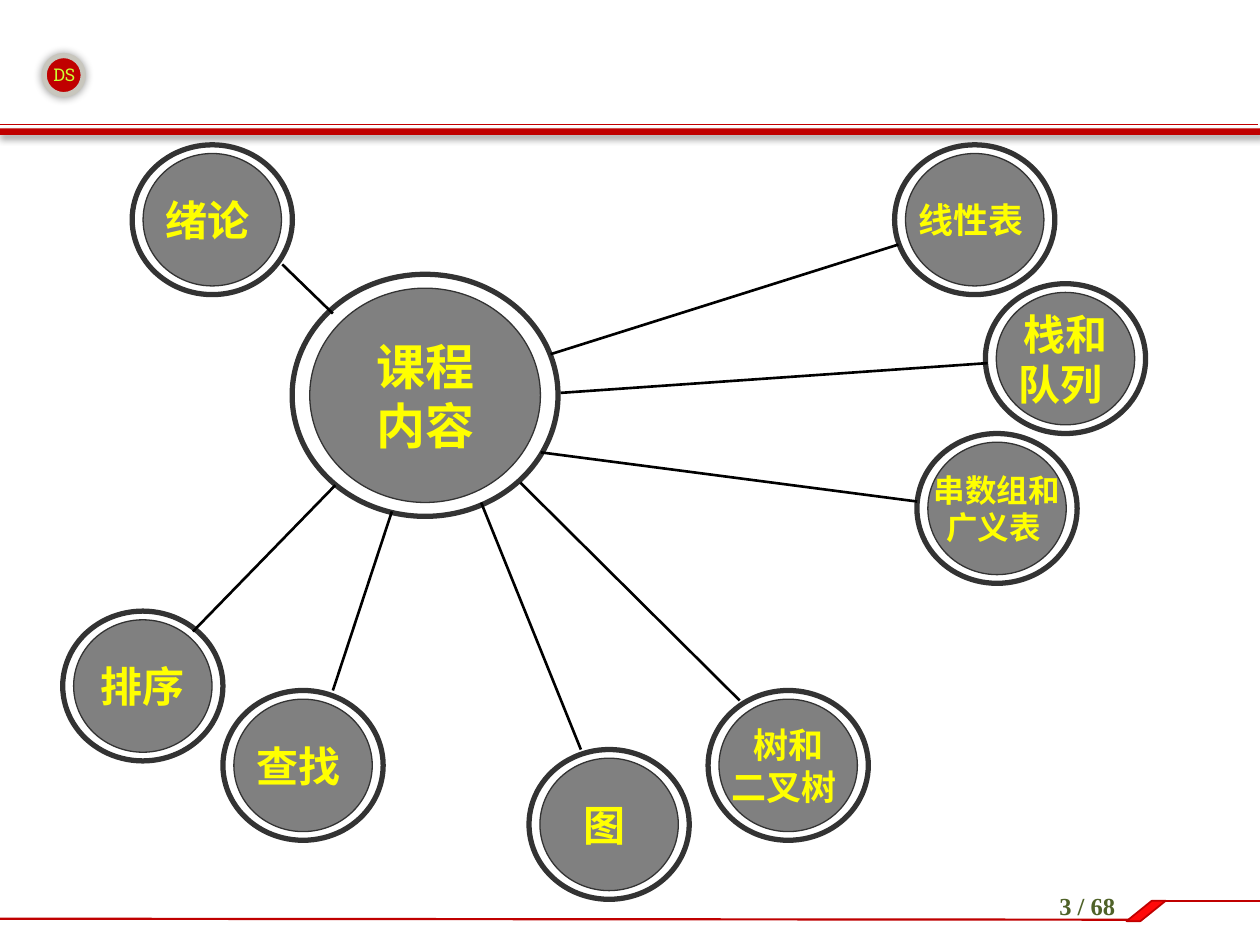
"""Build the course-content mind map slide: a hub joined to eight topics."""
from dataclasses import dataclass

from lxml import etree
from pptx import Presentation
from pptx.dml.color import RGBColor
from pptx.enum.shapes import MSO_CONNECTOR, MSO_SHAPE
from pptx.enum.text import MSO_ANCHOR, PP_ALIGN
from pptx.oxml.ns import qn
from pptx.util import Cm, Pt

OVAL, RECT, SLANT = MSO_SHAPE.OVAL, MSO_SHAPE.RECTANGLE, MSO_SHAPE.PARALLELOGRAM
STRAIGHT = MSO_CONNECTOR.STRAIGHT
CENTER, MIDDLE = PP_ALIGN.CENTER, MSO_ANCHOR.MIDDLE


@dataclass(frozen=True)
class Theme:
    """Colours, fonts and type sizes."""
    red: str = "C00000"
    bright_red: str = "FF0909"
    badge_ring: str = "C8C6BD"
    badge_text: str = "CCFF33"
    page_text: str = "4F6228"
    ring: str = "333333"
    disc: str = "808080"
    label: str = "FFFF00"
    spoke: str = "000000"
    label_font: str = "Arial"
    badge_font: str = "Roboto Slab"
    page_font: str = "Times New Roman"
    hub_size: int = 28
    large: int = 24
    medium: int = 20
    small: int = 18
    page_size: int = 14
    badge_size: int = 10


THEME = Theme()

HUB = (["课程", "内容"], THEME.hub_size, (8.57, 7.97))
HUB_SIZES = ((5.36, 4.88), (4.65, 4.32))
TOPIC_SIZES = ((3.23, 3.02), (2.79, 2.67))

# label lines, type size, centre, spoke start at hub, spoke end at topic
TOPICS = [
    (["线性表 "], THEME.medium, (19.65, 4.43), (11.1, 7.14), (18.11, 4.93)),
    (["绪论 "], THEME.large, (4.28, 4.43), (6.71, 6.32), (5.69, 5.33)),
    (["栈和", "队列 "], THEME.large, (21.48, 7.23), (11.3, 7.92), (19.91, 7.32)),
    (["串数组和", "广义表 "], THEME.small, (20.1, 10.25), (10.9, 9.12), (18.49, 10.11)),
    (["树和", "二叉树 "], THEME.medium, (15.89, 15.43), (10.49, 9.73), (14.91, 14.12)),
    (["图 "], THEME.large, (12.28, 16.62), (9.7, 10.13), (11.71, 15.11)),
    (["查找 "], THEME.large, (6.11, 15.43), (7.9, 10.31), (6.71, 13.92)),
    (["排序"], THEME.large, (2.88, 13.83), (6.76, 9.78), (3.89, 12.73)),
]

RULES = [
    ((-0.05, 2.51), (25.35, 2.51), 0.25),
    ((0, 18.52), (22.76, 18.54), 1.25),
    ((23.29, 18.16), (25.4, 18.16), 1.5),
]


def add_figure(slide, preset, box, fill=None, line=None, width=0.75):
    figure = slide.shapes.add_shape(preset, *map(Cm, box))
    figure.shadow.inherit = False
    if fill:
        figure.fill.solid()
        figure.fill.fore_color.rgb = RGBColor.from_string(fill)
    else:
        figure.fill.background()
    if line:
        figure.line.color.rgb = RGBColor.from_string(line)
        figure.line.width = Pt(width)
    else:
        figure.line.fill.background()
    return figure


def add_glow(figure, blur, distance, angle):
    effects = figure._element.spPr.find(qn("a:effectLst"))
    shadow = etree.SubElement(
        effects, qn("a:outerShdw"), blurRad=str(Pt(blur)),
        dist=str(Pt(distance)), dir=str(angle * 60000), rotWithShape="0")
    black = etree.SubElement(shadow, qn("a:srgbClr"), val="000000")
    etree.SubElement(black, qn("a:alpha"), val="40000")


def add_line(slide, start, end, color, width):
    rule = slide.shapes.add_connector(STRAIGHT, *map(Cm, start + end))
    rule.line.color.rgb = RGBColor.from_string(color)
    rule.line.width = Pt(width)
    etree.SubElement(rule._element.spPr, qn("a:effectLst"))


def write(frame, lines, size, font, color, bold=False):
    for index, line in enumerate(lines):
        paragraph = frame.add_paragraph() if index else frame.paragraphs[0]
        paragraph.alignment = CENTER
        run = paragraph.add_run()
        run.text = line
        run.font.size = Pt(size)
        run.font.name = font
        run.font.bold = bold
        run.font.color.rgb = RGBColor.from_string(color)


def add_caption(slide, box, text, size, font, color, bold=False):
    frame = slide.shapes.add_textbox(*map(Cm, box)).text_frame
    frame.word_wrap = True
    write(frame, [text], size, font, color, bold)


def centred(center, size):
    return (center[0] - size[0] / 2, center[1] - size[1] / 2, *size)


def add_node(slide, lines, size, center, sizes):
    outer, inner = sizes
    add_figure(slide, OVAL, centred(center, outer), line=THEME.ring, width=3)
    disc = add_figure(slide, OVAL, centred(center, inner), THEME.disc, THEME.ring)
    frame = disc.text_frame
    frame.word_wrap = False
    frame.vertical_anchor = MIDDLE
    write(frame, lines, size, THEME.label_font, THEME.label, True)


def add_frame(slide):
    badge = add_figure(slide, OVAL, (0.89, 1.12, 0.79, 0.79),
                       THEME.red, THEME.badge_ring, 3)
    add_glow(badge, 5, 0, 0)
    band = add_figure(slide, RECT, (-0.08, 2.59, 25.48, 0.13), THEME.red)
    add_glow(band, 4, 3, 45)
    for start, end, width in RULES:
        add_line(slide, start, end, THEME.red, width)
    step = add_figure(slide, SLANT, (22.71, 18.16, 0.79, 0.41),
                      THEME.bright_red, THEME.red, 1)
    step.adjustments[0] = 1.24
    add_caption(slide, (0.61, 1.17, 1.37, 0.69), "DS", THEME.badge_size,
                THEME.badge_font, THEME.badge_text)
    add_caption(slide, (20.32, 17.83, 3.2, 1.02), "3 / 68", THEME.page_size,
                THEME.page_font, THEME.page_text, True)


def main():
    deck = Presentation()
    deck.slide_width, deck.slide_height = Cm(25.4), Cm(19.05)
    slide = deck.slides.add_slide(deck.slide_layouts[6])
    add_frame(slide)
    add_node(slide, *HUB, HUB_SIZES)
    for lines, size, center, start, end in TOPICS:
        add_node(slide, lines, size, center, TOPIC_SIZES)
        add_line(slide, start, end, THEME.spoke, 1.5)
    deck.save("out.pptx")


if __name__ == "__main__":
    main()
